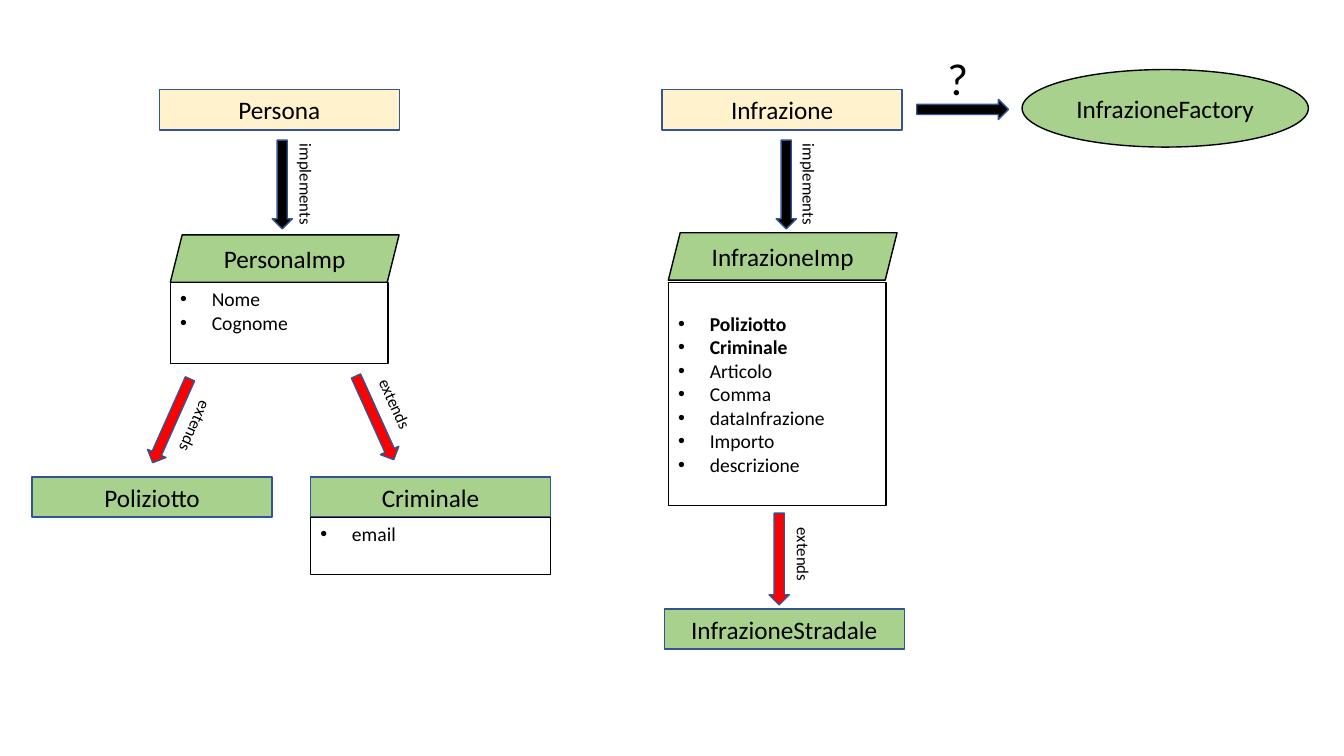
from dataclasses import dataclass

from lxml import etree
from pptx import Presentation
from pptx.dml.color import RGBColor
from pptx.enum.shapes import MSO_SHAPE as SHAPE
from pptx.enum.text import MSO_ANCHOR as ANCHOR, PP_ALIGN as ALIGN
from pptx.oxml.ns import qn
from pptx.shapes.autoshape import Shape
from pptx.shapes.shapetree import GroupShapes
from pptx.util import Pt

COLORS = {"black": "000000", "blue": "325491", "cream": "FFF2CC",
          "green": "A9D18E", "red": "FF0000"}
FONT = "Calibri"
BOX_W, BOX_H = 171.4, 28.8
IMP_W, IMP_H = 163.4, 33.8
FIELDS_W = 155.5
ARROW_W, ARROW_H, IMPLEMENTS_H = 14.4, 65.5, 63.4
LABEL_W, LABEL_H = 76.5, 21.6
INDENT = 22.5


@dataclass
class Node:
    name: str
    x: float
    y: float
    fill: str = "green"
    line: str = "blue"
    kind: SHAPE = SHAPE.RECTANGLE
    w: float = BOX_W
    h: float = BOX_H


@dataclass
class Fields:
    names: list[str]
    x: float
    y: float
    w: float
    h: float
    anchor: ANCHOR = ANCHOR.TOP
    bold: tuple[str, ...] = ()


@dataclass
class Arrow:
    x: float
    y: float
    color: str = "red"
    rotation: float = 0
    h: float = ARROW_H


@dataclass
class Label:
    text: str
    x: float
    y: float
    rotation: float = 90
    w: float = LABEL_W
    h: float = LABEL_H
    size: float = 12
    align: ALIGN = ALIGN.LEFT


def rgb(name: str) -> RGBColor:
    return RGBColor.from_string(COLORS[name])


def write(sp: Shape, lines: list[str], size: float, align: ALIGN,
          anchor: ANCHOR, bold: tuple[str, ...] = ()) -> None:
    tf = sp.text_frame
    tf.word_wrap = True
    tf.vertical_anchor = anchor
    for i, line in enumerate(lines):
        p = tf.paragraphs[0] if i == 0 else tf.add_paragraph()
        p.alignment = align
        r = p.add_run()
        r.text = line
        font_format = {"name": FONT, "size": Pt(size), "bold": line in bold}
        for key, value in font_format.items():
            setattr(r.font, key, value)
        r.font.color.rgb = rgb("black")


def add_shape(shapes: GroupShapes, kind: SHAPE, x: float, y: float, w: float,
              h: float, fill: str | None, line: str, weight: float = 1) -> Shape:
    sp = shapes.add_shape(kind, Pt(x), Pt(y), Pt(w), Pt(h))
    sp.shadow.inherit = False
    if fill:
        sp.fill.solid()
        sp.fill.fore_color.rgb = rgb(fill)
    else:
        sp.fill.background()
    sp.line.color.rgb = rgb(line)
    sp.line.width = Pt(weight)
    return sp


def draw_node(shapes: GroupShapes, n: Node) -> None:
    sp = add_shape(shapes, n.kind, n.x, n.y, n.w, n.h, n.fill, n.line)
    write(sp, [n.name], 18, ALIGN.CENTER, ANCHOR.MIDDLE)


def draw_fields(shapes: GroupShapes, f: Fields) -> None:
    sp = add_shape(shapes, SHAPE.RECTANGLE, f.x, f.y, f.w, f.h,
                   None, "black", 0.75)
    write(sp, f.names, 14, ALIGN.LEFT, f.anchor, f.bold)
    for p in sp.text_frame.paragraphs:
        pPr = p._p.get_or_add_pPr()
        pPr.set("marL", str(Pt(INDENT)))
        pPr.set("indent", str(-Pt(INDENT)))
        etree.SubElement(pPr, qn("a:buFont"), typeface="Arial")
        etree.SubElement(pPr, qn("a:buChar"), char="•")


def draw_arrow(shapes: GroupShapes, a: Arrow) -> None:
    sp = add_shape(shapes, SHAPE.DOWN_ARROW, a.x, a.y, ARROW_W, a.h,
                   a.color, "blue")
    sp.rotation = a.rotation


def draw_label(shapes: GroupShapes, lb: Label) -> None:
    sp = shapes.add_textbox(Pt(lb.x), Pt(lb.y), Pt(lb.w), Pt(lb.h))
    sp.rotation = lb.rotation
    write(sp, [lb.text], lb.size, lb.align, ANCHOR.TOP)


DRAW = {Node: draw_node, Fields: draw_fields, Arrow: draw_arrow,
        Label: draw_label}

# Persona hierarchy
PERSONA = [
    Node("PersonaImp", 121.7, 167.8, line="black", kind=SHAPE.PARALLELOGRAM,
         w=IMP_W, h=IMP_H),
    Fields(["Nome", "Cognome"], 121.7, 201.6, FIELDS_W, 58.3),
    Node("Persona", 113.8, 64.1, "cream"),
    Label("implements", 180.5, 123.1),
    Arrow(194.4, 100.1, "black", h=IMPLEMENTS_H),
    Node("Poliziotto", 23, 340.6),
    Label("extends", 96.5, 305.3, 114),
    Arrow(115.2, 267.8, rotation=24),
    Label("extends", 249.1, 288.7, 65.7),
    Arrow(260.6, 265.7, rotation=335.7),
    Node("Criminale", 221.8, 340.6),
    Fields(["email"], 221.8, 369.4, BOX_W, 41),
]

# Infrazione hierarchy
INFRAZIONE = [
    Fields(["Poliziotto", "Criminale", "Articolo", "Comma", "dataInfrazione",
            "Importo", "descrizione"], 477.4, 201.6, FIELDS_W, 159.8,
           ANCHOR.MIDDLE, ("Poliziotto", "Criminale")),
    Node("InfrazioneImp", 477.4, 166.3, line="black",
         kind=SHAPE.PARALLELOGRAM, w=IMP_W, h=IMP_H),
    Node("Infrazione", 473, 64.1, "cream"),
    Label("implements", 539.8, 123.1),
    Arrow(554.4, 100.1, "black", h=IMPLEMENTS_H),
    Label("extends", 535.7, 397.4),
    Arrow(549.4, 366.5),
    Node("InfrazioneStradale", 474.5, 434.9),
    Node("InfrazioneFactory", 730.1, 49.7, line="black", kind=SHAPE.OVAL,
         w=204.5, h=55.4),
    Arrow(680.4, 45.4, "black", 270),
]

# Open question above the factory arrow
QUESTION = Label("?", 645.8, 32.4, 0, h=46.1, size=32, align=ALIGN.CENTER)


def main() -> None:
    prs = Presentation()
    prs.slide_width, prs.slide_height = Pt(960), Pt(540)
    s = prs.slides.add_slide(prs.slide_layouts[6])
    for hierarchy in (PERSONA, INFRAZIONE):
        group = s.shapes.add_group_shape()
        for part in hierarchy:
            DRAW[type(part)](group.shapes, part)
    draw_label(s.shapes, QUESTION)
    prs.save("out.pptx")


if __name__ == "__main__":
    main()
